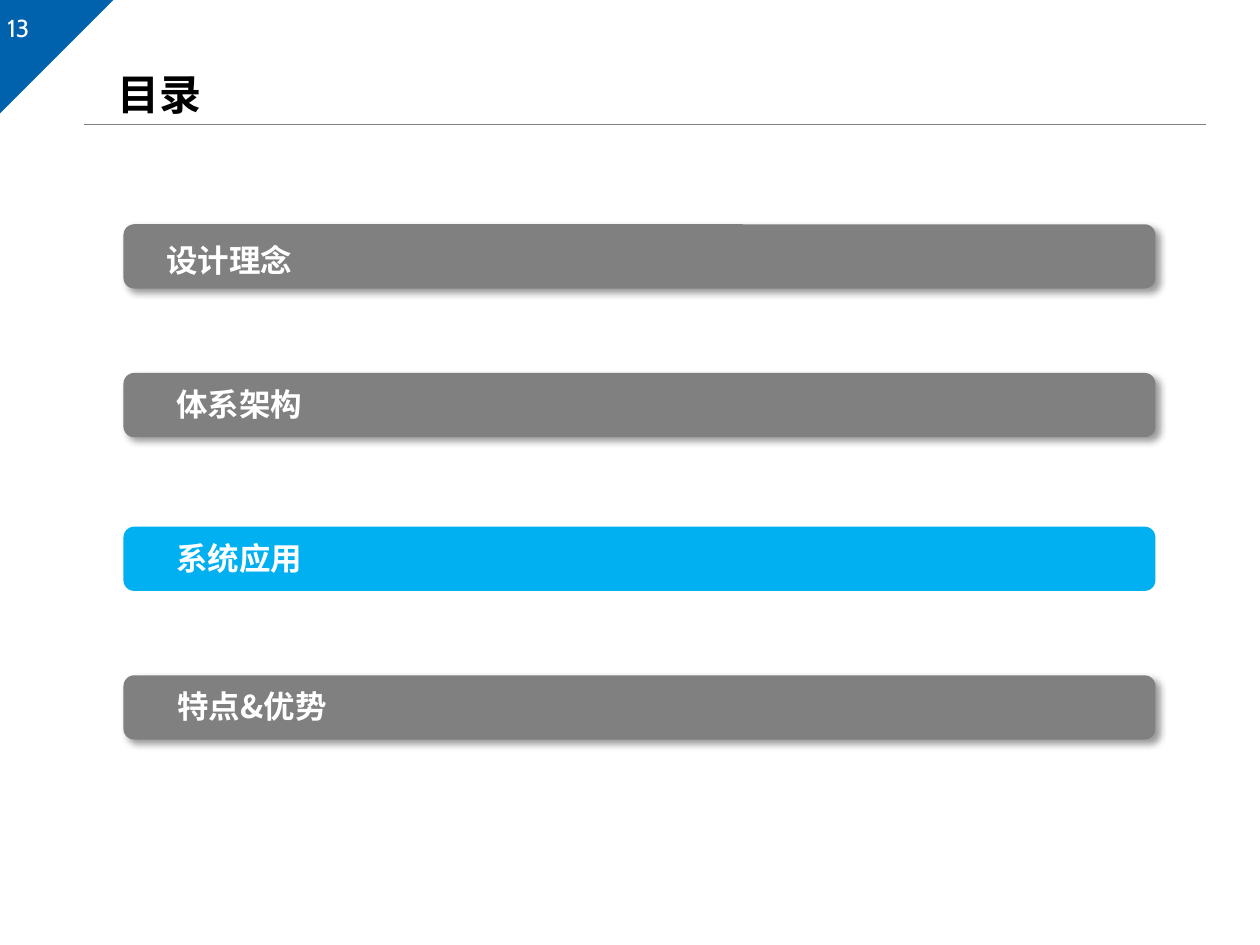
from dataclasses import dataclass

from lxml import etree
from pptx import Presentation
from pptx.dml.color import RGBColor
from pptx.enum import shapes, text
from pptx.oxml.ns import qn
from pptx.util import Inches, Pt

PAGE_NUMBER = "13"
HEADING = "目录"
# label, bar top, label left, label top, label width
CHAPTERS = [
    ("设计理念", 1.78, 1.22, 1.86, 3.23),
    ("体系架构", 2.96, 1.30, 3.01, 2.91),
    ("系统应用", 4.18, 1.30, 4.23, 2.91),
    ("特点&优势", 5.36, 1.31, 5.40, 3.61),
]
CURRENT_CHAPTER = "系统应用"
BAR_LEFT, BAR_WIDTH, BAR_HEIGHT, LABEL_HEIGHT = 0.98, 8.19, 0.51, 0.4


@dataclass(frozen=True)
class Theme:
    corner: str = "0062AC"
    muted: str = "808080"
    active: str = "00B0F0"
    light: str = "FFFFFF"
    dark: str = "000000"
    cjk_font: str = "Noto Sans CJK SC"
    number_font: str = "Cabin"
    heading_size: int = 24
    label_size: int = 18
    number_size: int = 14


THEME = Theme()


def write(box, words, size, color, font, bold=False):
    """Put one left-aligned line of text in the box, in one font for all scripts."""
    frame = box.text_frame
    frame.text = words
    frame.word_wrap = True
    frame.auto_size = text.MSO_AUTO_SIZE.SHAPE_TO_FIT_TEXT
    paragraph = frame.paragraphs[0]
    paragraph.alignment = text.PP_ALIGN.LEFT
    run = paragraph.runs[0]
    run.font.size = Pt(size)
    run.font.bold = bold
    run.font.name = font
    run.font.color.rgb = RGBColor.from_string(color)
    etree.SubElement(run.font._element, qn("a:ea"), typeface=font)


def add_filled(slide, kind, box, color):
    shape = slide.shapes.add_shape(kind, *map(Inches, box))
    shape.shadow.inherit = False
    shape.fill.solid()
    shape.fill.fore_color.rgb = RGBColor.from_string(color)
    shape.line.fill.background()
    return shape


def cast_shadow(shape):
    effects = shape._element.spPr.find(qn("a:effectLst"))
    shadow = etree.SubElement(
        effects, qn("a:outerShdw"), blurRad=str(Pt(4)), dist=str(Pt(3)),
        dir=str(45 * 60000), algn="tl", rotWithShape="0")
    color = etree.SubElement(shadow, qn("a:srgbClr"), val=THEME.dark)
    etree.SubElement(color, qn("a:alpha"), val="40000")


def add_frame(slide):
    """Corner triangle, page number, heading and the rule below it."""
    corner = add_filled(slide, shapes.MSO_SHAPE.RIGHT_TRIANGLE,
                        (0, 0, 0.9, 0.9), THEME.corner)
    corner.rotation = 90

    number = slide.shapes.add_textbox(*map(Inches, (-0.04, 0.05, 2.33, 0.31)))
    write(number, PAGE_NUMBER, THEME.number_size, THEME.light, THEME.number_font)

    rule = slide.shapes.add_connector(
        shapes.MSO_CONNECTOR.STRAIGHT, *map(Inches, (0.67, 0.99, 9.57, 0.99)))
    rule.line.color.rgb = RGBColor.from_string(THEME.muted)
    rule.line.width = Pt(0.75)
    etree.SubElement(rule._element.spPr, qn("a:effectLst"))

    heading = slide.shapes.title
    heading.left, heading.top, heading.width, heading.height = map(
        Inches, (0.83, 0.49, 1.12, 0.51))
    write(heading, HEADING, THEME.heading_size, THEME.dark, THEME.cjk_font, bold=True)
    heading.text_frame.vertical_anchor = text.MSO_ANCHOR.MIDDLE


def add_chapter(slide, label, bar_top, left, top, width):
    current = label == CURRENT_CHAPTER
    bar = add_filled(slide, shapes.MSO_SHAPE.ROUNDED_RECTANGLE,
                     (BAR_LEFT, bar_top, BAR_WIDTH, BAR_HEIGHT),
                     THEME.active if current else THEME.muted)
    if not current:
        cast_shadow(bar)
    caption = slide.shapes.add_textbox(*map(Inches, (left, top, width, LABEL_HEIGHT)))
    write(caption, label, THEME.label_size, THEME.light, THEME.cjk_font, bold=True)
    caption.text_frame.vertical_anchor = text.MSO_ANCHOR.MIDDLE


def main():
    deck = Presentation()
    deck.slide_width, deck.slide_height = Inches(10), Inches(7.5)
    slide = deck.slides.add_slide(deck.slide_layouts.get_by_name("Title Only"))
    add_frame(slide)
    for chapter in CHAPTERS:
        add_chapter(slide, *chapter)
    deck.save("out.pptx")


if __name__ == "__main__":
    main()
